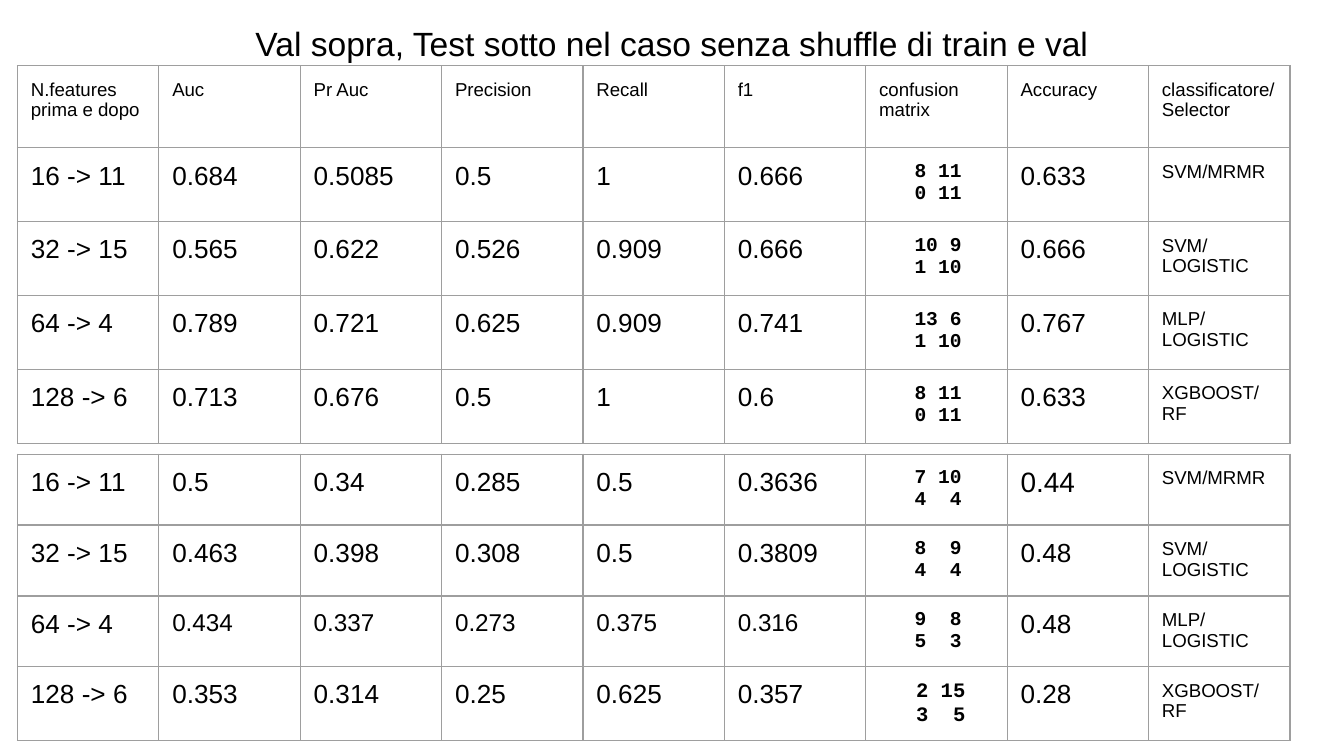
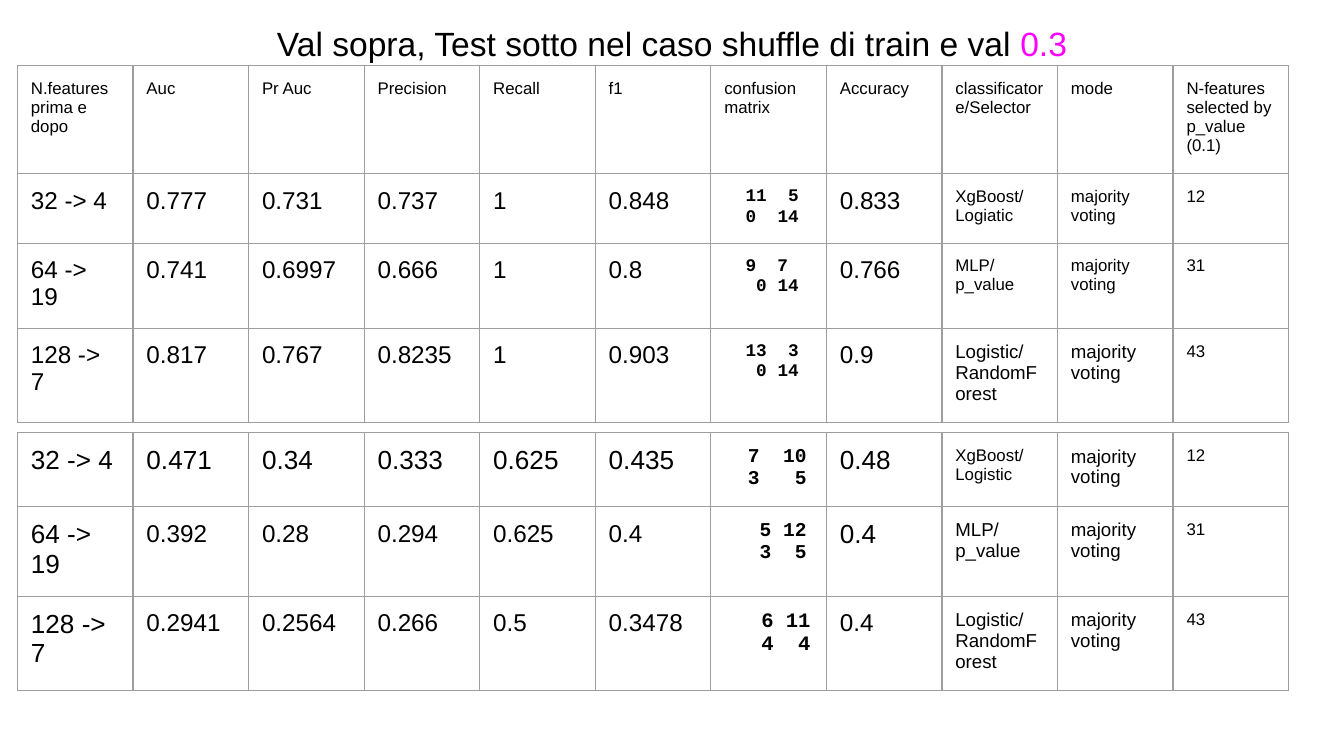
from dataclasses import dataclass

from lxml import etree
from pptx import Presentation
from pptx import util as u
from pptx.dml.color import RGBColor
from pptx.enum import text
from pptx.oxml.ns import qn

BLACK = RGBColor(0x00, 0x00, 0x00)
MAGENTA = RGBColor(0xFF, 0x00, 0xFF)
GRID_GREY = RGBColor(0x9E, 0x9E, 0x9E)
SANS, MONO = "Arial", "Courier New"
MONO_ADVANCE = 0.6  # character width of the monospaced font, in ems
INSET = u.Inches(0.1)
TABLE_LEFT = u.Inches(0.13)
FRAME_SIDE = u.Inches(3.28)  # nominal frame; rows and columns set the drawn size
VAL_TOP = u.Inches(0.49)
HEADER_HEIGHT = u.Inches(0.61)
VAL_ROW_HEIGHT = u.Inches(0.42)
TEST_ROW_HEIGHT = u.Inches(0.39)

HEADINGS = ("N.features prima e dopo", "Auc", "Pr Auc", "Precision", "Recall", "f1",
            "confusion matrix", "Accuracy", "classificatore/Selector")
VOTING_HEADINGS = HEADINGS + ("mode", "N-features selected by p_value (0.1)")
VOTING = "majority voting"


@dataclass(frozen=True)
class Result:
    features: str
    scores: tuple[str, ...]
    matrix: tuple[str, str]
    accuracy: str
    tags: tuple[str, ...]
    features_size: float = 14
    scores_size: float = 14
    matrix_size: float = 10.5
    accuracy_size: float = 14
    tag_sizes: tuple[float, ...] = (10,)


@dataclass(frozen=True)
class Comparison:
    title: tuple[tuple[str, RGBColor], ...]
    headings: tuple[str, ...]
    heading_size: float
    table_width: u.Length
    val: tuple[Result, ...]
    test: tuple[Result, ...]
    test_top: u.Length


def small_result(features: str, scores: tuple[str, ...], matrix: tuple[str, str],
                 accuracy: str, tags: tuple[str, ...],
                 tag_sizes: tuple[float, ...] = (9, 9, 9)) -> Result:
    return Result(features, scores, matrix, accuracy, tags, 13, 13, 9.5, 13, tag_sizes)


# Matrix rows are laid out in characters; tab stops reproduce that layout.
PLAIN = Comparison(
    title=(("Val sopra, Test sotto nel caso senza shuffle di train e val", BLACK),),
    headings=HEADINGS,
    heading_size=10,
    table_width=u.Inches(9.47),
    val=(
        Result("16 -> 11", ("0.684", "0.5085", "0.5", "1", "0.666"),
               ("   8 11", "   0 11"), "0.633", ("SVM/MRMR",)),
        Result("32 -> 15", ("0.565", "0.622", "0.526", "0.909", "0.666"),
               ("   10 9", "   1 10"), "0.666", ("SVM/LOGISTIC",)),
        Result("64 -> 4", ("0.789", "0.721", "0.625", "0.909", "0.741"),
               ("   13 6", "   1 10"), "0.767", ("MLP/LOGISTIC",)),
        Result("128 -> 6", ("0.713", "0.676", "0.5", "1", "0.6"),
               ("   8 11", "   0 11"), "0.633", ("XGBOOST/RF",)),
    ),
    test=(
        Result("16 -> 11", ("0.5", "0.34", "0.285", "0.5", "0.3636"),
               ("   7 10", "   4  4"), "0.44", ("SVM/MRMR",), accuracy_size=15),
        Result("32 -> 15", ("0.463", "0.398", "0.308", "0.5", "0.3809"),
               ("   8  9", "   4  4"), "0.48", ("SVM/LOGISTIC",)),
        Result("64 -> 4", ("0.434", "0.337", "0.273", "0.375", "0.316"),
               ("   9  8", "   5  3"), "0.48", ("MLP/LOGISTIC",), scores_size=13),
        Result("128 -> 6", ("0.353", "0.314", "0.25", "0.625", "0.357"),
               ("   2 15", "   3  5"), "0.28", ("XGBOOST/RF",), matrix_size=11),
    ),
    test_top=u.Inches(3.38),
)

SHUFFLED = Comparison(
    title=(("Val sopra, Test sotto nel caso shuffle di train e val ", BLACK),
           ("0.3", MAGENTA)),
    headings=VOTING_HEADINGS,
    heading_size=9,
    table_width=u.Inches(9.46),
    val=(
        small_result("32 -> 4", ("0.777", "0.731", "0.737", "1", "0.848"),
                     ("  11  5", "  0  14"), "0.833", ("XgBoost/Logiatic", VOTING, "12")),
        small_result("64 -> 19", ("0.741", "0.6997", "0.666", "1", "0.8"),
                     ("  9  7", "   0 14"), "0.766", ("MLP/p_value", VOTING, "31")),
        small_result("128 -> 7", ("0.817", "0.767", "0.8235", "1", "0.903"),
                     ("  13  3", "   0 14"), "0.9",
                     ("Logistic/RandomForest", VOTING, "43"), (10, 10, 9)),
    ),
    test=(
        Result("32 -> 4", ("0.471", "0.34", "0.333", "0.625", "0.435"),
               ("  7  10", "  3   5"), "0.48", ("XgBoost/Logistic", VOTING, "12"),
               tag_sizes=(9, 10, 9)),
        Result("64 -> 19", ("0.392", "0.28", "0.294", "0.625", "0.4"),
               ("   5 12", "   3  5"), "0.4", ("MLP/p_value", VOTING, "31"),
               scores_size=13, tag_sizes=(10, 10, 9)),
        Result("128 -> 7", ("0.2941", "0.2564", "0.266", "0.5", "0.3478"),
               ("   6 11", "   4  4"), "0.4", ("Logistic/RandomForest", VOTING, "43"),
               scores_size=13, matrix_size=11, accuracy_size=13, tag_sizes=(10, 10, 9)),
    ),
    test_top=u.Inches(3.22),
)


def write(para, words: str, *, size: float, font: str = SANS, bold: bool = False,
          color: RGBColor = BLACK) -> None:
    span = para.add_run()
    span.text = words
    span.font.size = u.Pt(size)
    span.font.name = font
    span.font.bold = bold
    span.font.color.rgb = color


def write_matrix(frame, lines: tuple[str, str], size: float) -> None:
    """Set each line's first number on a left tab and its second on a right tab."""
    for index, line in enumerate(lines):
        para = frame.add_paragraph() if index else frame.paragraphs[0]
        start = len(line) - len(line.lstrip())
        tabs = etree.SubElement(para._p.get_or_add_pPr(), qn("a:tabLst"))
        for characters, align in ((start, "l"), (len(line), "r")):
            position = u.Pt(characters * size * MONO_ADVANCE)
            etree.SubElement(tabs, qn("a:tab"), pos=str(position), algn=align)
        first, second = line.split()
        write(para, f"\t{first}\t{second}", size=size, font=MONO, bold=True)


def format_cell(cell) -> None:
    cell.margin_left = cell.margin_right = INSET
    cell.margin_top = cell.margin_bottom = INSET
    properties = cell._tc.get_or_add_tcPr()
    for side in ("lnL", "lnR", "lnT", "lnB"):
        line = etree.SubElement(properties, qn(f"a:{side}"), w=str(u.Pt(0.75)))
        fill = etree.SubElement(line, qn("a:solidFill"))
        etree.SubElement(fill, qn("a:srgbClr"), val=str(GRID_GREY))
    cell.fill.background()


def add_results(page, results: tuple[Result, ...], top: u.Length, row_height: u.Length,
                comparison: Comparison, with_header: bool = False) -> None:
    heights = [row_height] * len(results)
    if with_header:
        heights.insert(0, HEADER_HEIGHT)
    columns = len(comparison.headings)
    holder = page.shapes.add_table(len(heights), columns, TABLE_LEFT, top,
                                   FRAME_SIDE, FRAME_SIDE)
    table = holder.table
    table.first_row = table.horz_banding = False
    for column in table.columns:
        column.width = comparison.table_width // columns
    for row, height in zip(table.rows, heights):
        row.height = height
    holder.width = holder.height = FRAME_SIDE
    for cell in table.iter_cells():
        format_cell(cell)

    rows = list(table.rows)
    if with_header:
        for cell, heading in zip(rows.pop(0).cells, comparison.headings):
            write(cell.text_frame.paragraphs[0], heading, size=comparison.heading_size)
    for row, result in zip(rows, results):
        fill_row(row, result)


def fill_row(row, result: Result) -> None:
    entries = [(result.features, result.features_size)]
    entries += [(score, result.scores_size) for score in result.scores]
    entries.append((result.matrix, result.matrix_size))
    entries.append((result.accuracy, result.accuracy_size))
    entries += zip(result.tags, result.tag_sizes)
    for cell, (value, size) in zip(row.cells, entries):
        if isinstance(value, tuple):
            write_matrix(cell.text_frame, value, size)
        else:
            write(cell.text_frame.paragraphs[0], value, size=size)


def add_title(page, spans: tuple[tuple[str, RGBColor], ...]) -> None:
    box = page.shapes.add_textbox(u.Inches(0.1), u.Inches(0.07),
                                  u.Inches(9.8), u.Inches(0.64))
    frame = box.text_frame
    frame.word_wrap = True
    frame.margin_left = frame.margin_right = INSET
    frame.margin_top = frame.margin_bottom = INSET
    para = frame.paragraphs[0]
    para.alignment = text.PP_ALIGN.CENTER
    for words, color in spans:
        write(para, words, size=18, color=color)


def add_comparison(deck, comparison: Comparison) -> None:
    page = deck.slides.add_slide(deck.slide_layouts[6])
    add_results(page, comparison.test, comparison.test_top, TEST_ROW_HEIGHT, comparison)
    add_title(page, comparison.title)
    add_results(page, comparison.val, VAL_TOP, VAL_ROW_HEIGHT, comparison,
                with_header=True)


def main() -> None:
    deck = Presentation()
    deck.slide_width = u.Inches(10)
    deck.slide_height = deck.slide_width * 9 // 16
    for comparison in (PLAIN, SHUFFLED):
        add_comparison(deck, comparison)
    deck.save("out.pptx")


if __name__ == "__main__":
    main()
